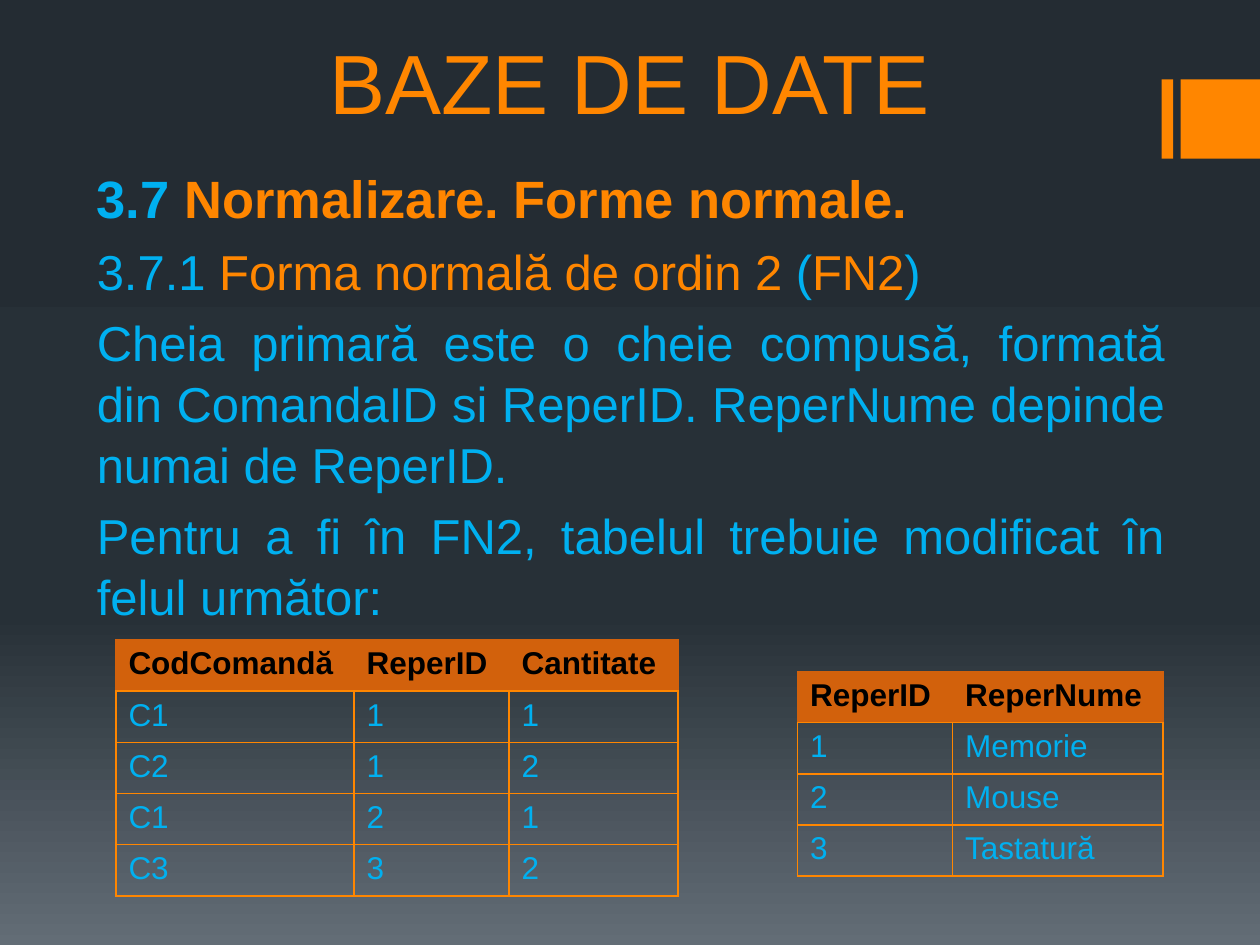
from dataclasses import dataclass

from pptx import Presentation
from pptx.dml.color import RGBColor
from pptx.enum.shapes import MSO_SHAPE
from pptx.enum.text import MSO_ANCHOR, PP_ALIGN
from pptx.oxml import parse_xml
from pptx.oxml.ns import nsdecls
from pptx.util import Inches, Pt

COLORS = {
    "orange": "FF8600",
    "blue": "00B0F0",
    "header": "D2610C",
    "black": "000000",
    "bg_top": "242C33",
    "bg_mid": "273037",
    "bg_bottom": "636D76",
}
FONT = "Arial"
ROW_HEIGHT = 0.406


@dataclass
class Bar:
    left: float
    width: float


@dataclass
class Grid:
    left: float
    top: float
    widths: list[float]
    rows: list[list[str]]


@dataclass
class Para:
    runs: list[tuple[str, str]]
    size: int = 28
    bold: bool = False
    align: PP_ALIGN = PP_ALIGN.JUSTIFY


BARS = [Bar(9.22, 0.09), Bar(9.37, 0.63)]

BODY = [
    Para([("3.7 ", "blue"), ("Normalizare. Forme normale.", "orange")],
         size=30, bold=True, align=PP_ALIGN.LEFT),
    Para([("3.7.1 ", "blue"), ("Forma normală de ordin 2 ", "orange"),
          ("(", "blue"), ("FN2", "orange"), (")", "blue")]),
    Para([("Cheia primară este o cheie compusă, formată din ComandaID si ReperID. "
           "ReperNume depinde numai de ReperID.", "blue")]),
    Para([("Pentru a fi în FN2, tabelul trebuie modificat în felul următor:", "blue")]),
]

GRIDS = [
    Grid(0.92, 5.08, [1.89, 1.23, 1.34], [
        ["CodComandă", "ReperID", "Cantitate"],
        ["C1", "1", "1"],
        ["C2", "1", "2"],
        ["C1", "2", "1"],
        ["C3", "3", "2"],
    ]),
    Grid(6.33, 5.33, [1.23, 1.67], [
        ["ReperID", "ReperNume"],
        ["1", "Memorie"],
        ["2", "Mouse"],
        ["3", "Tastatură"],
    ]),
]


def rgb(name: str) -> RGBColor:
    """Return the named colour."""
    return RGBColor.from_string(COLORS[name])


def add_run(p, text: str, *, size: int, color: str, bold: bool = False) -> None:
    """Append a formatted run to a paragraph."""
    r = p.add_run()
    r.text = text
    r.font.name = FONT
    r.font.size = Pt(size)
    r.font.bold = bold
    r.font.color.rgb = rgb(color)


def set_background(s) -> None:
    """Fill the slide with a vertical three-stop gradient."""
    stops = "".join(
        f'<a:gs pos="{pos * 1000}"><a:srgbClr val="{COLORS[name]}"/></a:gs>'
        for pos, name in [(0, "bg_top"), (65, "bg_mid"), (100, "bg_bottom")]
    )
    s.background.fill.solid()
    bg = s.element.xpath("p:cSld/p:bg/p:bgPr")[0]
    bg.replace(bg[0], parse_xml(
        f'<a:gradFill {nsdecls("a")} rotWithShape="1"><a:gsLst>{stops}</a:gsLst>'
        '<a:lin ang="5400000" scaled="0"/></a:gradFill>'
    ))


def add_bar(s, bar: Bar) -> None:
    """Draw one orange accent bar."""
    sp = s.shapes.add_shape(MSO_SHAPE.RECTANGLE, Inches(bar.left), Inches(0.63),
                            Inches(bar.width), Inches(0.63))
    sp.shadow.inherit = False
    sp.fill.solid()
    sp.fill.fore_color.rgb = rgb("orange")
    sp.line.fill.background()


def add_text(s, box: tuple[float, float, float, float], paras: list[Para], *,
             anchor: MSO_ANCHOR = MSO_ANCHOR.TOP, before: float = 0,
             spacing: float = 1.0) -> None:
    """Add a wrapped text box with formatted paragraphs."""
    tf = s.shapes.add_textbox(*map(Inches, box)).text_frame
    tf.word_wrap = True
    tf.vertical_anchor = anchor
    for i, para in enumerate(paras):
        p = tf.add_paragraph() if i else tf.paragraphs[0]
        p.alignment = para.align
        p.space_before = Pt(before * para.size)
        p.line_spacing = spacing
        for text, color in para.runs:
            add_run(p, text, size=para.size, color=color, bold=para.bold)


def set_borders(cell, header: bool) -> None:
    """Draw the four borders of a cell ahead of its fill."""
    side = "header" if header else "orange"
    edges = {"lnL": side, "lnR": side, "lnT": side, "lnB": "orange"}
    tc_pr = cell._tc.get_or_add_tcPr()
    for i, (tag, color) in enumerate(edges.items()):
        tc_pr.insert(i, parse_xml(
            f'<a:{tag} {nsdecls("a")} w="12700"><a:solidFill>'
            f'<a:srgbClr val="{COLORS[color]}"/></a:solidFill></a:{tag}>'
        ))


def add_grid(s, grid: Grid) -> None:
    """Add a table with a filled header row and clear body cells."""
    table = s.shapes.add_table(
        len(grid.rows), len(grid.widths), Inches(grid.left), Inches(grid.top),
        Inches(sum(grid.widths)), Inches(ROW_HEIGHT * len(grid.rows))).table
    table.horz_banding = False
    for col, width in zip(table.columns, grid.widths):
        col.width = Inches(width)
    for i, values in enumerate(grid.rows):
        header = i == 0
        table.rows[i].height = Inches(ROW_HEIGHT)
        for j, text in enumerate(values):
            cell = table.cell(i, j)
            if header:
                cell.fill.solid()
                cell.fill.fore_color.rgb = rgb("header")
            else:
                cell.fill.background()
            set_borders(cell, header)
            add_run(cell.text_frame.paragraphs[0], text, size=18,
                    color="black" if header else "blue", bold=header)


def main() -> None:
    """Build the slide and save it."""
    prs = Presentation()
    prs.slide_width, prs.slide_height = Inches(10), Inches(7.5)
    s = prs.slides.add_slide(prs.slide_layouts[6])
    set_background(s)
    for bar in BARS:
        add_bar(s, bar)
    title = Para([("BAZE DE DATE", "orange")], size=48, align=PP_ALIGN.CENTER)
    add_text(s, (0.75, 0, 8.5, 1.09), [title], anchor=MSO_ANCHOR.BOTTOM)
    add_text(s, (0.67, 1.25, 8.67, 5.58), BODY, before=0.2, spacing=1.04)
    for grid in GRIDS:
        add_grid(s, grid)
    prs.save("out.pptx")


if __name__ == "__main__":
    main()
